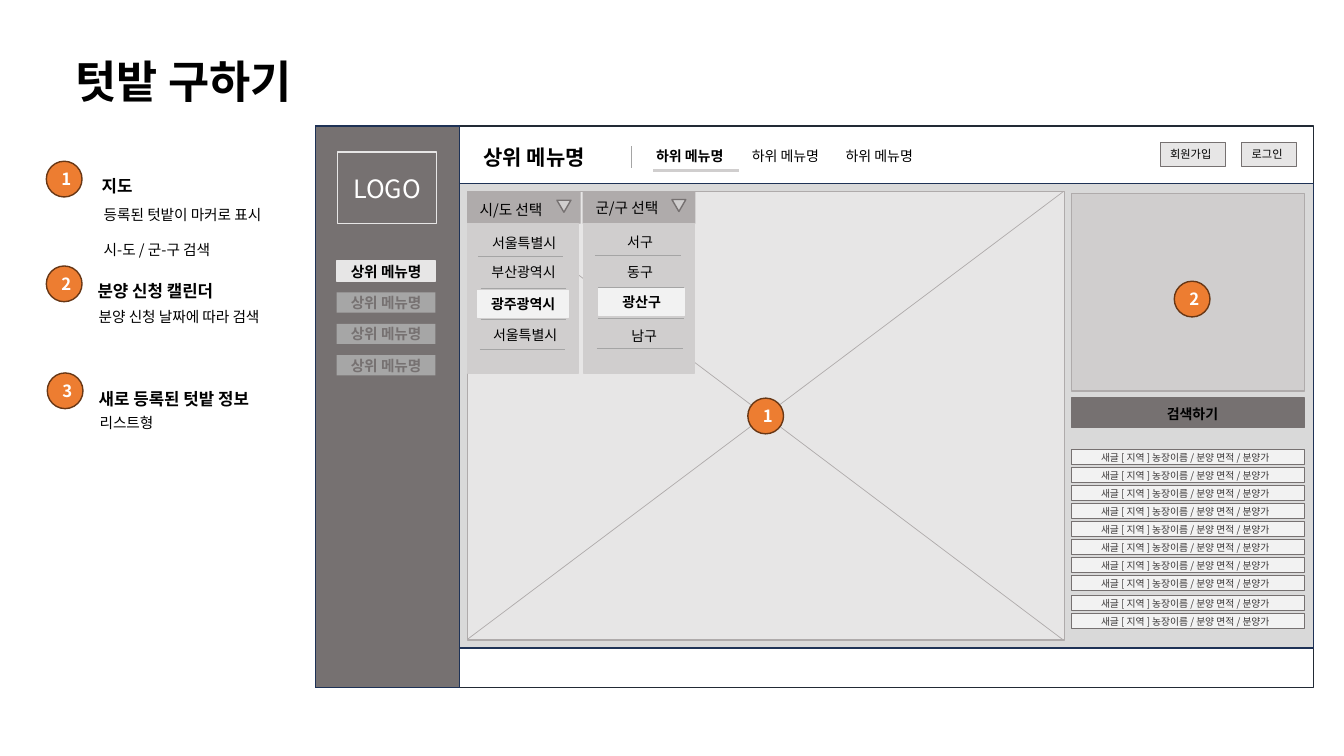
from lxml.etree import SubElement
from pptx import Presentation
from pptx.dml.color import RGBColor
from pptx.enum.shapes import MSO_CONNECTOR, MSO_SHAPE
from pptx.enum.text import MSO_ANCHOR, MSO_AUTO_SIZE, PP_ALIGN
from pptx.oxml.ns import qn
from pptx.util import Pt

BLACK = RGBColor(0x00, 0x00, 0x00)
WHITE = RGBColor(0xFF, 0xFF, 0xFF)
INK = RGBColor(0x3B, 0x38, 0x38)
NAVY = RGBColor(0x1E, 0x32, 0x56)
SLATE = RGBColor(0x22, 0x2A, 0x35)
DARK = RGBColor(0x76, 0x71, 0x71)
MIDDLE = RGBColor(0xAF, 0xAB, 0xAB)
MUTED = RGBColor(0xA6, 0xA6, 0xA6)
RULE = RGBColor(0xA5, 0xA5, 0xA5)
SILVER = RGBColor(0xD0, 0xCE, 0xCE)
CANVAS = RGBColor(0xD9, 0xD9, 0xD9)
LIGHT = RGBColor(0xE7, 0xE6, 0xE6)
PALE = RGBColor(0xF2, 0xF2, 0xF2)
ORANGE = RGBColor(0xED, 0x7D, 0x31)
BROWN = RGBColor(0x68, 0x37, 0x15)


class Wireframe:
    font_name = "Noto Sans CJK KR"

    def __init__(self, slide):
        self.slide = slide

    def set_text(self, shape, text, size, color=BLACK, bold=False,
                 align=PP_ALIGN.LEFT, spacing=None, fit=True):
        frame = shape.text_frame
        frame.text = text
        frame.word_wrap = not fit
        frame.auto_size = MSO_AUTO_SIZE.SHAPE_TO_FIT_TEXT if fit else MSO_AUTO_SIZE.NONE
        frame.vertical_anchor = MSO_ANCHOR.TOP if fit else MSO_ANCHOR.MIDDLE
        for paragraph in frame.paragraphs:
            paragraph.alignment = align
            if spacing:
                paragraph.line_spacing = spacing
            font = paragraph.font
            font.size, font.bold, font.name = Pt(size), bold, self.font_name
            font.color.rgb = color
            properties = paragraph._p.pPr.find(qn("a:defRPr"))
            SubElement(properties, qn("a:ea"), typeface=self.font_name)

    def title(self, left, top, width, height, text, size):
        title = self.slide.shapes.title
        title.left, title.top, title.width, title.height = map(Pt, (left, top, width, height))
        self.set_text(title, text, size, bold=True)

    def label(self, left, top, width, height, text, size, **style):
        box = self.slide.shapes.add_textbox(*map(Pt, (left, top, width, height)))
        self.set_text(box, text, size, **style)

    def shape(self, left, top, width, height, fill=None, line=None, weight=1,
              kind=MSO_SHAPE.RECTANGLE):
        shape = self.slide.shapes.add_shape(kind, *map(Pt, (left, top, width, height)))
        shape.shadow.inherit = False
        if fill is None:
            shape.fill.background()
        else:
            shape.fill.solid()
            shape.fill.fore_color.rgb = fill
        if line is None:
            shape.line.fill.background()
        else:
            shape.line.color.rgb = line
            shape.line.width = Pt(weight)
        return shape

    def line(self, x1, y1, x2, y2, color=RULE, weight=0.5):
        line = self.slide.shapes.add_connector(
            MSO_CONNECTOR.STRAIGHT, *map(Pt, (x1, y1, x2, y2)))
        line.line.color.rgb = color
        line.line.width = Pt(weight)
        SubElement(line._element.spPr, qn("a:effectLst"))

    def badge(self, left, top, number):
        circle = self.shape(left, top, 25.5, 25.5, ORANGE, BROWN, kind=MSO_SHAPE.OVAL)
        self.set_text(circle, number, 12, WHITE, True, PP_ALIGN.CENTER, fit=False)

    def dropdown(self, left, label_box, label, options, selected_box, shift_x, shift_y):
        self.shape(left, 136.8, 80.6, 23, MIDDLE)
        triangle = self.shape(left + 63.7, 143 + shift_y, 10, 8.6, SILVER, DARK,
                              kind=MSO_SHAPE.ISOSCELES_TRIANGLE)
        triangle.rotation = 180
        self.label(*label_box, label, 10.5)
        self.shape(left + shift_x / 120, 159.8, 79.2, 106.6, SILVER, SILVER)
        for name, center, top in options:
            self.label(center - 33, top, 66, 19.6, name, 10, align=PP_ALIGN.CENTER)
        name, *box = selected_box
        selected = self.shape(*box, PALE, PALE, 0.75)
        self.set_text(selected, name, 10, bold=True, align=PP_ALIGN.CENTER)
        for x, y in ((341.3, 182.9), (343.4, 205.9), (343.4, 228.2), (342.7, 249.5)):
            self.line(x + shift_x, y + shift_y, x + shift_x + 61.2, y + shift_y)


presentation = Presentation()
presentation.slide_width, presentation.slide_height = Pt(960), Pt(540)
slide = presentation.slides.add_slide(presentation.slide_layouts[5])
wireframe = Wireframe(slide)

wireframe.title(46.8, 34.6, 187.2, 46, "텃밭 구하기", 32)
wireframe.shape(225.4, 90, 712.8, 401, WHITE, SLATE)
wireframe.shape(328.3, 131, 609.8, 331.9, CANVAS, NAVY)
wireframe.shape(225.4, 90, 103, 401, DARK, NAVY)

for left, top, number in ((33.1, 115.2, "1"), (33.1, 190, "2"), (33.8, 266.4, "3")):
    wireframe.badge(left, top, number)
for left, top, width, heading in (
        (65.5, 107.3, 38.9, "지도"),
        (62.6, 182.9, 108, "분양 신청 캘린더"),
        (63.4, 259.9, 136.8, "새로 등록된 텃밭 정보")):
    wireframe.label(left, top, width, 31.7, heading, 12, bold=True, spacing=2.0)
wireframe.label(67, 131, 142.6, 54, "등록된 텃밭이 마커로 표시\n시-도 / 군-구 검색", 10.5, spacing=2.0)
wireframe.label(63.4, 216, 146.2, 20.2, "분양 신청 날짜에 따라 검색", 10.5)
wireframe.label(64.1, 292.3, 56.9, 20.2, "리스트형", 10.5)

logo = wireframe.shape(241.2, 108.7, 70.6, 51.1, line=LIGHT)
wireframe.set_text(logo, "LOGO", 18, WHITE, align=PP_ALIGN.CENTER, fit=False)
for index in range(4):
    active = index == 0
    item = wireframe.shape(240.5, 186.5 + 22.4 * index, 70.6, 14.4,
                           LIGHT if active else MUTED, LIGHT if active else None)
    wireframe.set_text(item, "상위 메뉴명", 10.5, BLACK if active else DARK, True,
                       PP_ALIGN.CENTER, fit=False)

wireframe.label(338.4, 99.4, 95.8, 25.2, "상위 메뉴명", 15, bold=True)
wireframe.line(450.7, 104.4, 450.7, 120.2)
for left, active in ((461.5, True), (529.9, False), (596.9, False)):
    wireframe.label(left, 101.8, 68.4, 19.4, "하위 메뉴명", 10, bold=active)
wireframe.line(466.6, 121.7, 527.8, 121.7, SILVER, 2.25)
for left, width, name in ((828.7, 46.8, "회원가입"), (887, 38.9, "로그인")):
    button = wireframe.shape(left, 101.5, width, 17.3, LIGHT, DARK, 0.75)
    wireframe.set_text(button, name, 8)

wireframe.shape(334.1, 136.8, 426.2, 320.4, LIGHT, MIDDLE)
wireframe.line(334.1, 136.8, 759.6, 457.2, MIDDLE)
wireframe.line(334.1, 456.5, 759.6, 136.8, MIDDLE)
wireframe.badge(534.2, 284.4, "1")

wireframe.dropdown(
    334.1, (335.5, 139.7, 67, 20.9), "시/도 선택",
    (("서울특별시", 374.4, 164.2), ("부산광역시", 374, 185), ("서울특별시", 375.1, 229.7)),
    ("광주광역시", 341.3, 207.4, 64.8, 19.4), 0, 0)
wireframe.dropdown(
    416.2, (418.3, 138.6, 64.8, 20.2), "군/구 선택",
    (("서구", 457.2, 162.9), ("동구", 457.2, 184.3), ("남구", 460.1, 230.4)),
    ("광산구", 427.7, 206, 61.2, 19.4), 83.7, -0.5)

wireframe.shape(765.4, 138.2, 166.3, 141.1, SILVER, MIDDLE)
wireframe.badge(838.8, 200.9, "2")
wireframe.shape(765.4, 284.4, 166.3, 20.9, DARK, DARK)
wireframe.label(824.4, 285.8, 54.7, 19.4, "검색하기", 10, bold=True, align=PP_ALIGN.CENTER)

for first_top, count in ((321.1, 8), (425.5, 2)):
    for index in range(count):
        post = wireframe.shape(765.4, first_top + 12.86 * index, 166.3, 10.8, PALE, DARK)
        wireframe.set_text(post, "새글 [ 지역 ] 농장이름 / 분양 면적 / 분양가", 7, INK,
                           align=PP_ALIGN.CENTER, fit=False)
        post.text_frame.margin_right = Pt(11)

presentation.save("out.pptx")
